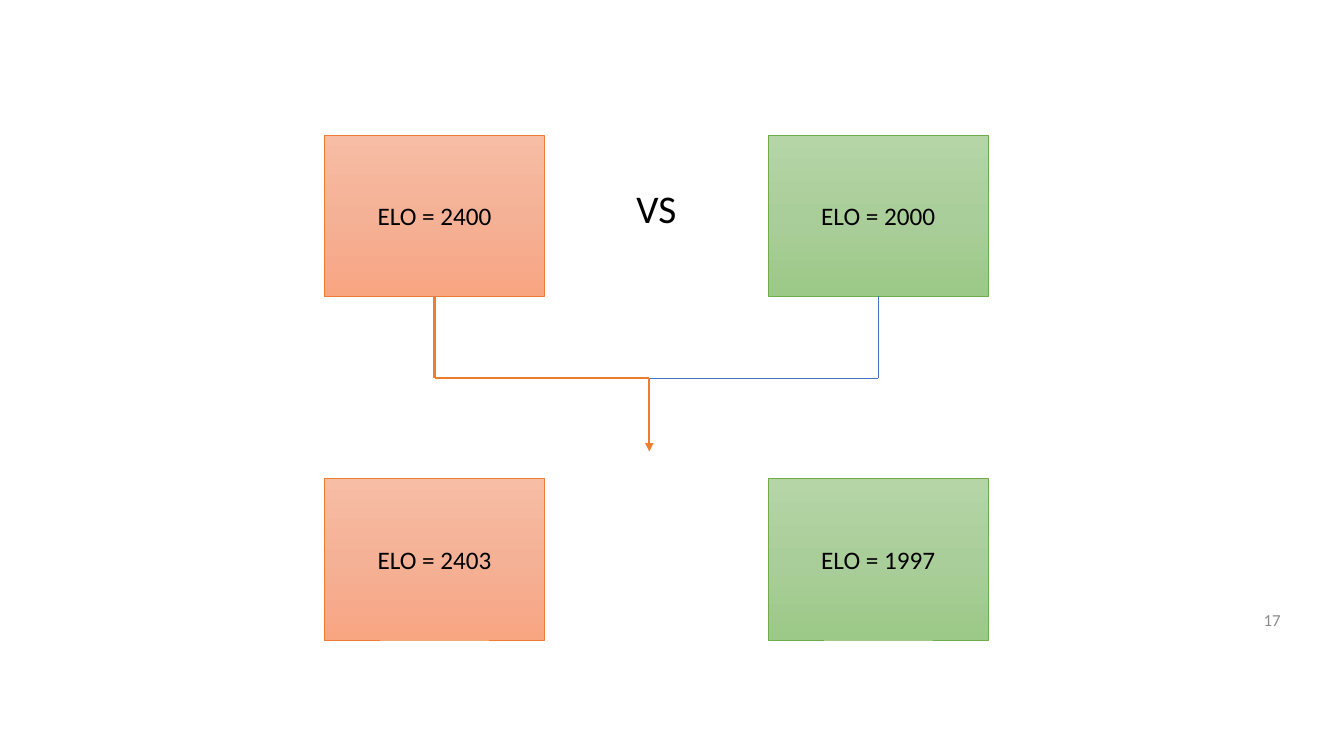
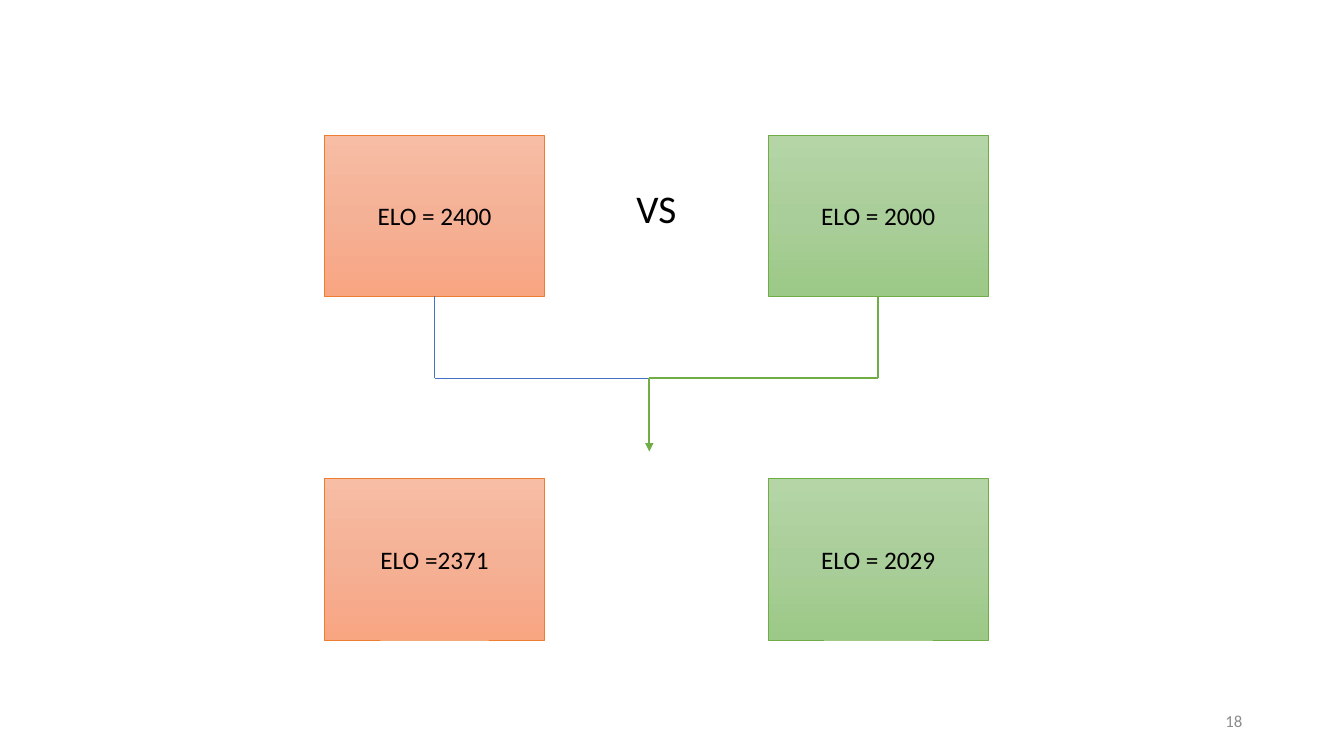
from copy import deepcopy

from lxml import etree
from pptx import Presentation
from pptx import util as u
from pptx.dml.color import RGBColor
from pptx.enum import shapes, text
from pptx.oxml import ns

PX = 9144
FONT = "Calibri"
BLACK, GREY, BLUE = "000000", "8C8C8C", "4472C4"
ORANGE, GREEN = "ED7D31", "70AD47"
GRADIENTS = {
    ORANGE: ("F7BDA5", "F5B196", "F8A582"),
    GREEN: ("B5D5A7", "AACE9A", "9CC987"),
}
CARD_WIDTH, CARD_HEIGHT = 218, 160
DIAGRAM = (322, 134, 658, 501)


def px(*lengths):
    """Turn lengths in px into EMU."""
    return [u.Emu(length * PX) for length in lengths]


def color(value):
    """Turn a hex string into a colour."""
    return RGBColor.from_string(value)


def write(shape, words, size, ink, align, anchor):
    """Put one line of formatted text into a shape."""
    frame = shape.text_frame
    frame.text = words
    frame.word_wrap = True
    frame.auto_size = text.MSO_AUTO_SIZE.NONE
    frame.vertical_anchor = anchor
    para = frame.paragraphs[0]
    para.alignment = align
    font = para.runs[0].font
    font.name, font.size = FONT, u.Pt(size)
    font.color.rgb = color(ink)
    return para


def add_card(page, left, top, accent, words):
    """Draw a player's gradient card with its rating."""
    card = page.shapes.add_shape(
        shapes.MSO_SHAPE.RECTANGLE, *px(left, top, CARD_WIDTH, CARD_HEIGHT))
    card.shadow.inherit = False
    card.fill.gradient()
    card.fill.gradient_angle = 270
    stop_list = card._element.spPr.find(".//" + ns.qn("a:gsLst"))
    stop_list.insert(1, deepcopy(stop_list[0]))
    for stop, position, tint in zip(
            card.fill.gradient_stops, (0, 0.5, 1), GRADIENTS[accent]):
        stop.position = position
        stop.color.rgb = color(tint)
    card.line.color.rgb = color(accent)
    card.line.width = u.Pt(0.5)
    write(card, words, 18, BLACK, text.PP_ALIGN.CENTER, text.MSO_ANCHOR.MIDDLE)


def add_line(page, start, end, ink, width, arrow=False):
    """Draw a straight line, with an arrowhead at its end on request."""
    line = page.shapes.add_connector(
        shapes.MSO_CONNECTOR.STRAIGHT, *px(*start, *end))
    line.line.color.rgb = color(ink)
    line.line.width = u.Pt(width)
    if arrow:
        outline = line.line._get_or_add_ln()
        etree.SubElement(outline, ns.qn("a:tailEnd"), type="triangle")
    etree.SubElement(line._element.spPr, ns.qn("a:effectLst"))


def add_versus(page, left, top):
    """Move the body placeholder between the upper cards."""
    body = page.placeholders[1]
    body.left, body.top, body.width, body.height = px(left, top, 76, 62)
    para = write(body, "VS", 28, BLACK,
                 text.PP_ALIGN.CENTER, text.MSO_ANCHOR.TOP)
    para.line_spacing = 0.9
    para.space_before = u.Pt(0)
    properties = para._p.get_or_add_pPr()
    properties.set("marL", "0")
    properties.set("indent", "0")
    etree.SubElement(properties, ns.qn("a:buNone"))


def add_bracket(page, left, top, right, winner, accent):
    """Join both players and point the winner's colour at the result."""
    middle, bend = left + 213, top + 81
    for side, start in enumerate((left, right)):
        style = (accent, 1.5) if side == winner else (BLUE, 0.5)
        add_line(page, (start, top), (start, bend), *style)
        add_line(page, (start, bend), (middle, bend), *style)
    add_line(page, (middle, bend), (middle, bend + 73), accent, 1.5, True)


def add_match(page, box, before, after, winner):
    """Lay out the ratings before and after a match inside a box."""
    left, top, width, height = box
    accents = (ORANGE, GREEN)
    columns = (left, left + width - CARD_WIDTH)
    rows = (top, top + height - CARD_HEIGHT)
    add_versus(page, left + 291, top + 49)
    for row, ratings in zip(rows, (before, after)):
        for column, accent, words in zip(columns, accents, ratings):
            add_card(page, column, row, accent, words)
    centers = [column + CARD_WIDTH // 2 for column in columns]
    add_bracket(page, centers[0], top + CARD_HEIGHT, centers[1],
                winner, accents[winner])


def add_number(page, left, top, number):
    """Write the page number."""
    box = page.shapes.add_textbox(*px(left, top, 300, 40))
    write(box, str(number), 12, GREY,
          text.PP_ALIGN.RIGHT, text.MSO_ANCHOR.MIDDLE)


def main():
    """Build and save the deck."""
    deck = Presentation()
    deck.slide_width, deck.slide_height = u.Inches(13.33), u.Inches(7.5)
    before = ("ELO = 2400", "ELO = 2000")
    matches = (
        (("ELO = 2403", "ELO = 1997"), 0, (980, 595, 17)),
        (("ELO =2371", "ELO = 2029"), 1, (942, 695, 18)),
    )
    for after, winner, number in matches:
        page = deck.slides.add_slide(deck.slide_layouts[1])
        title = page.shapes.title._element
        title.getparent().remove(title)
        add_match(page, DIAGRAM, before, after, winner)
        add_number(page, *number)
    deck.save("out.pptx")


if __name__ == "__main__":
    main()
